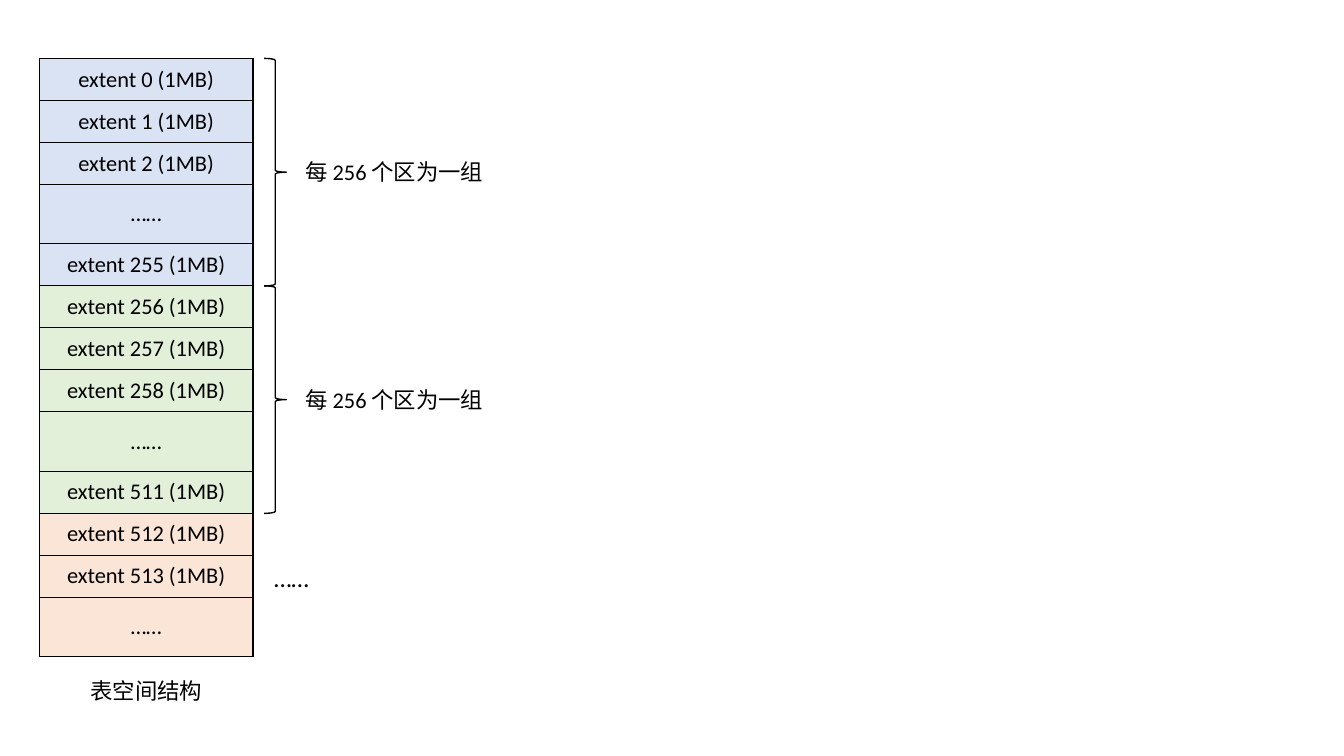
from dataclasses import dataclass

from lxml import etree
from pptx import Presentation
from pptx.dml.color import RGBColor
from pptx.enum.shapes import MSO_SHAPE
from pptx.enum.text import MSO_ANCHOR, PP_ALIGN
from pptx.oxml.ns import qn
from pptx.util import Inches, Pt

BRACE = MSO_SHAPE.RIGHT_BRACE
MIDDLE = MSO_ANCHOR.MIDDLE
CENTER = PP_ALIGN.CENTER


@dataclass(frozen=True)
class Theme:
    font: str = "Calibri"
    ink: str = "000000"
    blue: str = "DAE3F3"
    green: str = "E2F0D9"
    peach: str = "FBE5D6"
    body: int = 16
    large: int = 18
    line: int = 1


THEME = Theme()
WIDTH, HEIGHT = 13.33, 7.5
ROW = HEIGHT / 18
GAP = 0.59
LEFT, TOP = 0.39, 0.58
COL = 2.12
SIDE = 2.62
DOTS = "……"
GROUPS = [
    (THEME.blue, [0, 1, 2, DOTS, 255]),
    (THEME.green, [256, 257, 258, DOTS, 511]),
    (THEME.peach, [512, 513, DOTS]),
]


def color(code):
    return RGBColor.from_string(code)


def style(frame, size):
    for par in frame.paragraphs:
        for run in par.runs:
            run.font.size = Pt(size)
            run.font.name = THEME.font
            run.font.color.rgb = color(THEME.ink)


def border(cell):
    props = cell._tc.get_or_add_tcPr()
    for pos, side in enumerate(("a:lnL", "a:lnR", "a:lnT", "a:lnB")):
        line = etree.Element(qn(side), w=str(Pt(THEME.line)))
        fill = etree.SubElement(line, qn("a:solidFill"))
        etree.SubElement(fill, qn("a:srgbClr"), val=THEME.ink)
        props.insert(pos, line)


def fill_cell(cell, text, tint):
    cell.text_frame.text = text
    cell.text_frame.paragraphs[0].alignment = CENTER
    cell.vertical_anchor = MIDDLE
    cell.fill.solid()
    cell.fill.fore_color.rgb = color(tint)
    style(cell.text_frame, THEME.body)
    border(cell)


def tall(item):
    return GAP if item == DOTS else ROW


def add_stack(slide):
    rows = [(item, tint) for tint, items in GROUPS for item in items]
    total = sum(tall(item) for item, tint in rows)
    table = slide.shapes.add_table(
        len(rows), 1, Inches(LEFT), Inches(TOP), Inches(COL), Inches(total)
    ).table
    table.first_row = False
    table.horz_banding = False
    table.columns[0].width = Inches(COL)
    for pos, (item, tint) in enumerate(rows):
        table.rows[pos].height = Inches(tall(item))
        text = item if item == DOTS else f"extent {item} (1MB)"
        fill_cell(table.cell(pos, 0), text, tint)


def add_brace(slide, top, height):
    brace = slide.shapes.add_shape(
        BRACE, Inches(SIDE), Inches(top), Inches(0.22), Inches(height)
    )
    brace.shadow.inherit = False
    brace.fill.background()
    brace.line.color.rgb = color(THEME.ink)
    brace.line.width = Pt(THEME.line)


def add_label(slide, text, left, top, width, height, size=THEME.body, wrap=True):
    box = slide.shapes.add_textbox(
        Inches(left), Inches(top), Inches(width), Inches(height)
    )
    box.text_frame.word_wrap = wrap
    box.text_frame.text = text
    style(box.text_frame, size)


def main():
    deck = Presentation()
    deck.slide_width = Inches(WIDTH)
    deck.slide_height = Inches(HEIGHT)
    slide = deck.slides.add_slide(deck.slide_layouts[6])
    add_stack(slide)
    top = TOP
    for tint, items in GROUPS[:2]:
        height = sum(tall(item) for item in items)
        add_brace(slide, top, height)
        add_label(slide, "每 256 个区为一组", 2.93, top + 0.94, 2.03, 0.37)
        top += height
    add_label(slide, DOTS, SIDE, 5.53, 0.7, 0.4, THEME.large)
    add_label(slide, "表空间结构", 0.8, 6.67, 1.31, 0.37, wrap=False)
    deck.save("out.pptx")


if __name__ == "__main__":
    main()
